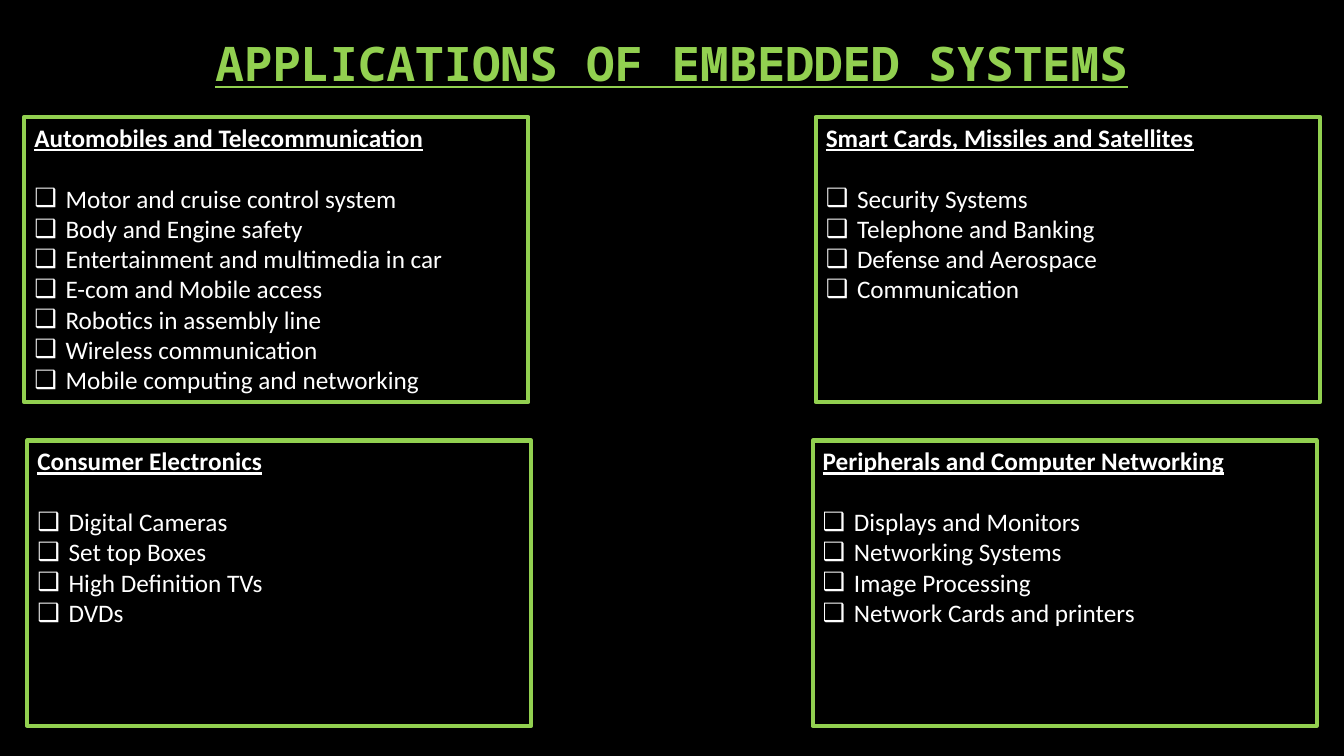
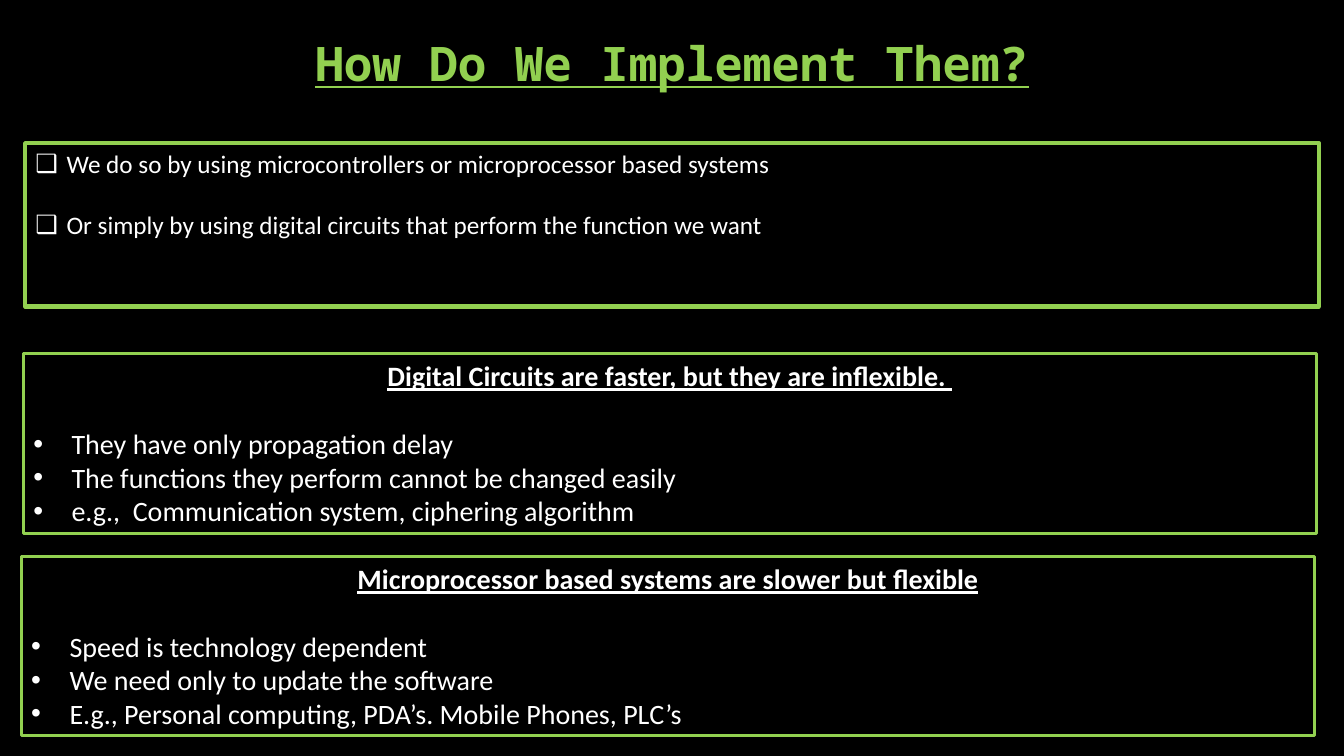
from dataclasses import dataclass

from lxml.etree import SubElement
from pptx import Presentation
from pptx.dml.color import RGBColor
from pptx.enum.text import MSO_ANCHOR as Anchor, MSO_AUTO_SIZE as AutoSize, PP_ALIGN as Align
from pptx.oxml.ns import qn
from pptx.util import Inches, Pt


@dataclass(frozen=True)
class Theme:
    """Colours, fonts and type sizes of the deck."""
    background: RGBColor = RGBColor(0x00, 0x00, 0x00)
    accent: RGBColor = RGBColor(0x92, 0xD0, 0x50)
    text: RGBColor = RGBColor(0xFF, 0xFF, 0xFF)
    title_font: str = "Noto Sans Mono"
    body_font: str = "Calibri"
    title_size: int = 34
    line_height: float = 1.22


@dataclass(frozen=True)
class PanelStyle:
    """Type size, bullet and border of one kind of panel."""
    size: int
    bullet: str
    indent: float
    border: float
    heading_align: Align = Align.LEFT
    item_align: Align = Align.LEFT


THEME = Theme()
CHECKED = PanelStyle(size=18, bullet="❑", indent=0.31, border=3)
DOTTED = PanelStyle(size=20, bullet="•", indent=0.38, border=2.25,
                    heading_align=Align.CENTER, item_align=Align.JUSTIFY)

SLIDE_WIDTH, SLIDE_HEIGHT = 13.33, 7.5
COMPARISON_LAYOUT = 4

APPLICATIONS = [
    ("Automobiles and Telecommunication", [
        "Motor and cruise control system", "Body and Engine safety",
        "Entertainment and multimedia in car", "E-com and Mobile access",
        "Robotics in assembly line", "Wireless communication",
        "Mobile computing and networking"]),
    ("Smart Cards, Missiles and Satellites", [
        "Security Systems", "Telephone and Banking",
        "Defense and Aerospace", "Communication"]),
    ("Consumer Electronics", [
        "Digital Cameras", "Set top Boxes", "High Definition TVs", "DVDs"]),
    ("Peripherals and Computer Networking", [
        "Displays and Monitors", "Networking Systems",
        "Image Processing", "Network Cards and printers"]),
]

METHODS = [
    "We do so by using microcontrollers or microprocessor based systems",
    "Or simply by using digital circuits that perform the function we want"]

TRADE_OFFS = [
    ("Digital Circuits are faster, but they are inflexible. ", [
        "They have only propagation delay",
        "The functions they perform cannot be changed easily",
        "e.g.,  Communication system, ciphering algorithm"]),
    ("Microprocessor based systems are slower but flexible", [
        "Speed is technology dependent",
        "We need only to update the software",
        "E.g., Personal computing, PDA’s. Mobile Phones, PLC’s"]),
]


def write(paragraph, text, *, size, font=THEME.body_font, color=THEME.text, strong=False,
          align=Align.LEFT, before=0, spacing=1.0, bullet=None, indent=0):
    """Write text into a paragraph; strong means bold and underlined."""
    paragraph.alignment = align
    paragraph.space_before, paragraph.space_after = Pt(before), Pt(0)
    paragraph.line_spacing = spacing
    properties = paragraph._p.get_or_add_pPr()
    properties.set("marL", str(Inches(indent)))
    properties.set("indent", str(Inches(-indent)))
    if bullet:
        SubElement(properties, qn("a:buFont"), typeface="Arial")
        SubElement(properties, qn("a:buChar"), char=bullet)
    else:
        SubElement(properties, qn("a:buNone"))
    run = paragraph.add_run()
    run.text = text
    run.font.name, run.font.size = font, Pt(size)
    run.font.bold = run.font.underline = strong
    run.font.color.rgb = color


def place(placeholder, box, anchor):
    """Move a placeholder to a box and return its text frame."""
    placeholder.left, placeholder.top, placeholder.width, placeholder.height = map(Inches, box)
    frame = placeholder.text_frame
    frame.word_wrap, frame.auto_size = True, AutoSize.NONE
    frame.vertical_anchor = anchor
    return frame


def fill_panel(placeholder, box, style, items, heading=None, item_gap=0):
    """Draw a bordered list, with an optional heading one line above it."""
    placeholder.line.color.rgb = THEME.accent
    placeholder.line.width = Pt(style.border)
    frame = place(placeholder, box, Anchor.TOP)
    blank_line = style.size * THEME.line_height
    if heading:
        write(frame.paragraphs[0], heading, size=style.size, strong=True,
              align=style.heading_align)
    for number, item in enumerate(items):
        first = number == 0
        paragraph = frame.paragraphs[0] if first and not heading else frame.add_paragraph()
        lines_before = (1 if heading else 0) if first else item_gap
        write(paragraph, item, size=style.size, align=style.item_align,
              before=lines_before * blank_line, bullet=style.bullet, indent=style.indent)


def add_titled_slide(deck, title):
    """Add a slide with its title; return its body placeholders."""
    slide = deck.slides.add_slide(deck.slide_layouts[COMPARISON_LAYOUT])
    width = 10
    frame = place(slide.shapes.title, ((SLIDE_WIDTH - width) / 2, 0.25, width, 0.71),
                  Anchor.BOTTOM)
    write(frame.paragraphs[0], title, size=THEME.title_size, font=THEME.title_font,
          color=THEME.accent, strong=True, align=Align.CENTER, spacing=0.9)
    return [body for body in slide.placeholders if body.placeholder_format.idx > 0]


def applications_slide(deck):
    """Build the two by two grid of application areas."""
    bodies = add_titled_slide(deck, "APPLICATIONS OF EMBEDDED SYSTEMS")
    width, height = 5, 2.83
    boxes = [(left, top, width, height)
             for margin, top in ((0.24, 1.16), (0.27, 4.37))
             for left in (margin, SLIDE_WIDTH - margin - width)]
    for body, box, (heading, items) in zip(bodies, boxes, APPLICATIONS):
        fill_panel(body, box, CHECKED, items, heading)


def implementation_slide(deck):
    """Build the methods panel above the two trade-off panels."""
    methods, *trade_offs, unused = add_titled_slide(deck, "How Do We Implement Them?")
    unused.element.getparent().remove(unused.element)
    width, height, pitch = 12.83, 1.78, 2.01
    fill_panel(methods, (0.25, 1.42, width, 1.62), CHECKED, METHODS, item_gap=1)
    for row, (body, (heading, items)) in enumerate(zip(trade_offs, TRADE_OFFS)):
        box = (0.23 - 0.02 * row, 3.51 + pitch * row, width, height)
        fill_panel(body, box, DOTTED, items, heading)


def main():
    """Build and save the deck."""
    deck = Presentation()
    deck.slide_width, deck.slide_height = Inches(SLIDE_WIDTH), Inches(SLIDE_HEIGHT)
    backdrop = deck.slide_master.background.fill
    backdrop.solid()
    backdrop.fore_color.rgb = THEME.background
    applications_slide(deck)
    implementation_slide(deck)
    deck.save("out.pptx")


if __name__ == "__main__":
    main()
